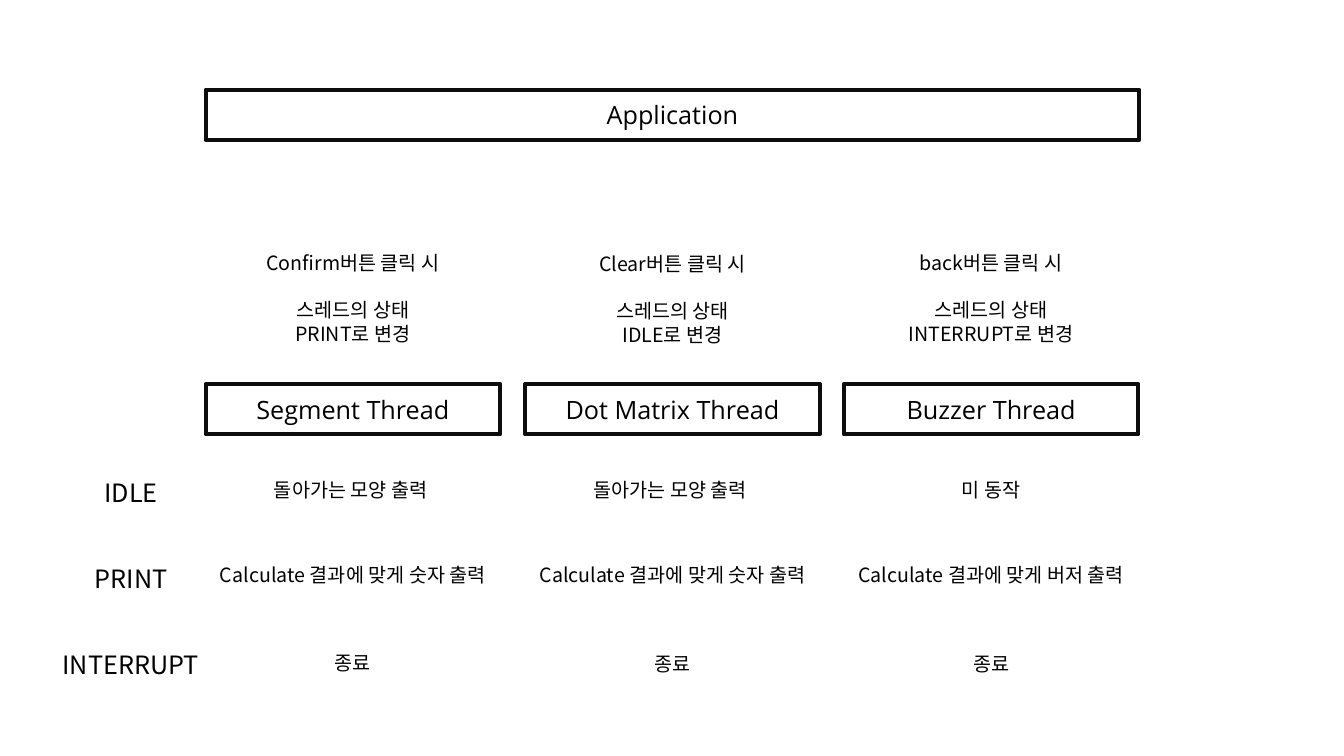
from dataclasses import dataclass

from lxml.etree import SubElement
from pptx import Presentation
from pptx.dml.color import RGBColor
from pptx.enum.shapes import MSO_SHAPE
from pptx.enum.text import MSO_ANCHOR, PP_ALIGN
from pptx.oxml.ns import qn
from pptx.shapes.autoshape import Shape
from pptx.slide import Slide
from pptx.util import Emu, Pt

EMU_PER_PX = 9144


@dataclass(frozen=True)
class Theme:
    text: RGBColor = RGBColor(0x00, 0x00, 0x00)
    border: RGBColor = RGBColor(0x0D, 0x0D, 0x0D)
    latin_font: str = "Open Sans"
    korean_font: str = "Noto Sans CJK KR"
    title_size: int = 18
    body_size: int = 14
    border_width: int = 3
    paragraph_gap: int = 17


THEME = Theme()


@dataclass(frozen=True)
class Area:
    left: int
    top: int
    width: int
    height: int

    def emu(self) -> tuple[Emu, ...]:
        lengths = (self.left, self.top, self.width, self.height)
        return tuple(Emu(length * EMU_PER_PX) for length in lengths)


@dataclass(frozen=True)
class Thread:
    name: str
    button: str
    state: str
    trigger_top: int
    actions: tuple[str, str, str]
    end_top: int


@dataclass(frozen=True)
class StateLabel:
    name: str
    left: int
    width: int


THREADS = (
    Thread("Segment Thread", "Confirm", "PRINT", 244,
           ("돌아가는 모양 출력 ", "Calculate 결과에 맞게 숫자 출력", "종료"), 641),
    Thread("Dot Matrix Thread", "Clear", "IDLE", 245,
           ("돌아가는 모양 출력 ", "Calculate 결과에 맞게 숫자 출력", "종료"), 642),
    Thread("Buzzer Thread", "back", "INTERRUPT", 244,
           ("미 동작", "Calculate 결과에 맞게 버저 출력", "종료"), 642),
)
STATES = (
    StateLabel("IDLE", 71, 118),
    StateLabel("PRINT", 71, 118),
    StateLabel("INTERRUPT", 47, 165),
)
COLUMN_LEFT = 204
COLUMN_WIDTH = 292
TWO_COLUMN_PITCH = 633
STATE_TOP = 469
STATE_PITCH = 85


def write_text(box: Shape, text: str, *, size: int, font: str,
               gap_before_line: int | None = None) -> None:
    frame = box.text_frame
    for number, line in enumerate(text.split("\n")):
        para = frame.add_paragraph() if number else frame.paragraphs[0]
        para.alignment = PP_ALIGN.CENTER
        if number == gap_before_line:
            para.space_before = Pt(THEME.paragraph_gap)
        span = para.add_run()
        span.text = line
        span.font.size = Pt(size)
        span.font.name = font
        span.font.color.rgb = THEME.text
        SubElement(span.font._element, qn("a:ea"), typeface=font)


def add_frame(page: Slide, area: Area, text: str) -> None:
    box = page.shapes.add_shape(MSO_SHAPE.RECTANGLE, *area.emu())
    box.shadow.inherit = False
    box.fill.background()
    box.line.color.rgb = THEME.border
    box.line.width = Pt(THEME.border_width)
    box.text_frame.vertical_anchor = MSO_ANCHOR.MIDDLE
    write_text(box, text, size=THEME.title_size, font=THEME.latin_font)


def add_label(page: Slide, area: Area, text: str, *, size: int = THEME.body_size,
              gap_before_line: int | None = None) -> None:
    box = page.shapes.add_textbox(*area.emu())
    box.text_frame.word_wrap = False
    write_text(box, text, size=size, font=THEME.korean_font,
               gap_before_line=gap_before_line)


def add_thread(page: Slide, column: int, thread: Thread) -> None:
    left = COLUMN_LEFT + (column * TWO_COLUMN_PITCH + 1) // 2
    add_frame(page, Area(left, 381, COLUMN_WIDTH, 50), thread.name)
    trigger = f"{thread.button}버튼 클릭 시\n스레드의 상태\n{thread.state}로 변경"
    add_label(page, Area(left, thread.trigger_top, COLUMN_WIDTH, 104), trigger,
              gap_before_line=1)
    tops = (STATE_TOP, STATE_TOP + STATE_PITCH, thread.end_top)
    for top, action in zip(tops, thread.actions):
        add_label(page, Area(left, top, COLUMN_WIDTH, 34), action)


def main() -> None:
    deck = Presentation()
    deck.slide_width = Emu(1333 * EMU_PER_PX)
    deck.slide_height = Emu(750 * EMU_PER_PX)
    page = deck.slides.add_slide(deck.slide_layouts[6])
    add_frame(page, Area(COLUMN_LEFT, 89, 926, 50), "Application")
    for column, thread in enumerate(THREADS):
        add_thread(page, column, thread)
    for row, state in enumerate(STATES):
        area = Area(state.left, STATE_TOP + row * STATE_PITCH, state.width, 40)
        add_label(page, area, state.name, size=THEME.title_size)
    deck.save("out.pptx")


if __name__ == "__main__":
    main()
